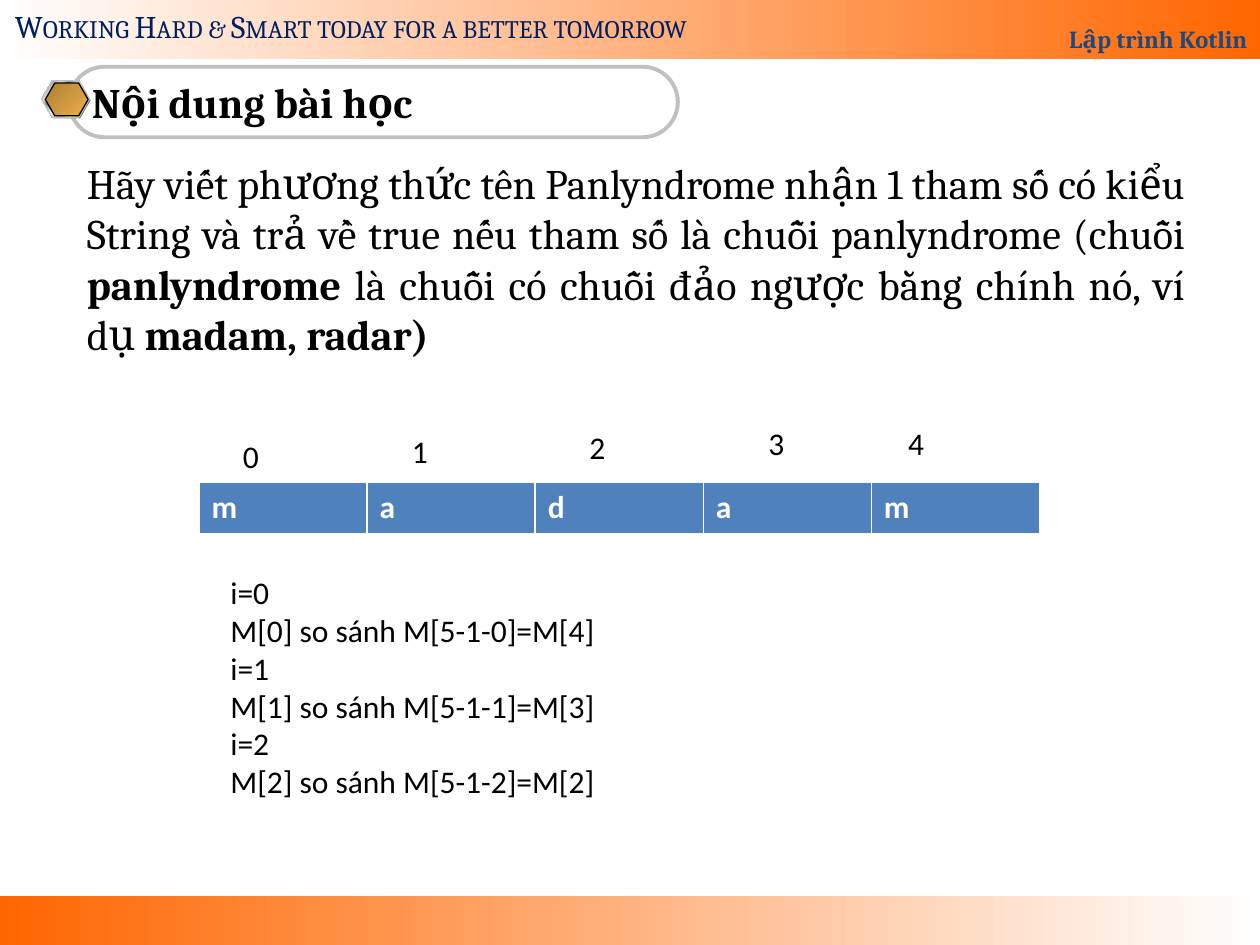
"""Build the palindrome exercise slide of a Kotlin programming lesson."""
from dataclasses import dataclass
from typing import Optional

from lxml import etree
from pptx import Presentation
from pptx import util as u
from pptx.dml.color import RGBColor
from pptx.enum import shapes, text
from pptx.oxml.ns import qn

COLORS = {
    "white": "FFFFFF", "black": "000000", "orange": "FF6600", "navy": "002060",
    "blue": "1F497D", "cell": "4F81BD", "silver": "C0C0C0", "gray": "808080",
    "light": "E6E6E6", "steel": "7D8496", "bronze": "AB7E34", "gold": "EFB049",
}
METAL = [(0, "light"), (7, "steel"), (26, "light"), (34, "steel"), (46, "light"),
         (50, "white"), (54, "light"), (66, "steel"), (74, "light"), (93, "steel"),
         (100, "light")]
WORD = "madam"


@dataclass
class Panel:
    """A preset shape with its outline and a solid or gradient fill."""
    kind: shapes.MSO_SHAPE
    box: tuple
    fill: Optional[str] = None
    stops: Optional[list] = None
    angle: int = 0
    line: Optional[str] = None
    width: float = 0.75
    adj: Optional[float] = None


@dataclass
class Label:
    """An index written above a table cell."""
    value: str
    left: float
    top: float


RECT, HEXAGON = shapes.MSO_SHAPE.RECTANGLE, shapes.MSO_SHAPE.HEXAGON
FOOTER = Panel(RECT, (0, 7.11, 10, 0.39), stops=[(0, "orange"), (100, "white")])
HEADER = Panel(RECT, (0, -0.06, 10, 0.53), stops=[(0, "white"), (100, "orange")])
TITLE = Panel(shapes.MSO_SHAPE.ROUNDED_RECTANGLE, (0.55, 0.53, 4.83, 0.56),
              line="silver", width=2.25, adj=0.5)
BULLET = [
    Panel(HEXAGON, (0.34, 0.65, 0.38, 0.29), fill="gray", adj=0.289),
    Panel(HEXAGON, (0.33, 0.64, 0.38, 0.29), stops=METAL, angle=45,
          line="silver", adj=0.289),
    Panel(HEXAGON, (0.36, 0.66, 0.34, 0.26), stops=[(0, "bronze"), (100, "gold")],
          angle=45, line="black", adj=0.289),
]
INDICES = [Label("0", 1.83, 3.42), Label("1", 3.17, 3.38), Label("2", 4.58, 3.35),
           Label("3", 6, 3.32), Label("4", 7.11, 3.32)]


def rgb(name: str) -> RGBColor:
    """Return a named colour."""
    return RGBColor.from_string(COLORS[name])


def set_gradient(sp, stops: list, angle: int) -> None:
    """Fill a shape with a linear gradient turned clockwise by angle."""
    sp.fill.gradient()
    grad = sp._element.spPr.find(qn("a:gradFill"))
    grad.find(qn("a:lin")).set("ang", str(angle * 60000))
    stop_list = grad.find(qn("a:gsLst"))
    for old in list(stop_list):
        stop_list.remove(old)
    for pos, name in stops:
        stop = etree.SubElement(stop_list, qn("a:gs"), pos=str(pos * 1000))
        etree.SubElement(stop, qn("a:srgbClr"), val=COLORS[name])


def draw_panel(s, panel: Panel):
    """Draw a panel and return its shape."""
    sp = s.shapes.add_shape(panel.kind, *map(u.Inches, panel.box))
    sp.shadow.inherit = False
    if panel.adj is not None:
        sp.adjustments[0] = panel.adj
    if panel.stops:
        set_gradient(sp, panel.stops, panel.angle)
    elif panel.fill:
        sp.fill.solid()
        sp.fill.fore_color.rgb = rgb(panel.fill)
    else:
        sp.fill.background()
    if panel.line:
        sp.line.color.rgb = rgb(panel.line)
        sp.line.width = u.Pt(panel.width)
    else:
        sp.line.fill.background()
    return sp


def write(tf, paragraphs: list, size: float = 18, font: str = "Calibri",
          color: str = "black", bold: bool = False, small_caps: bool = False,
          align=text.PP_ALIGN.LEFT, anchor=text.MSO_ANCHOR.TOP,
          wrap: bool = False, spacing: Optional[float] = None) -> None:
    """Write paragraphs, each a string or a list of (string, bold) runs."""
    tf.word_wrap = wrap
    tf.vertical_anchor = anchor
    for i, content in enumerate(paragraphs):
        p = tf.paragraphs[0] if i == 0 else tf.add_paragraph()
        p.alignment = align
        p.line_spacing = spacing
        runs = [(content, bold)] if isinstance(content, str) else content
        for words, heavy in runs:
            r = p.add_run()
            r.text = words
            r.font.size = u.Pt(size)
            r.font.name = font
            r.font.bold = heavy
            r.font.color.rgb = rgb(color)
            if small_caps:
                r.font._element.set("cap", "small")


def add_text(s, box: tuple, paragraphs: list, **style) -> None:
    """Add a text box that grows with its text."""
    tf = s.shapes.add_textbox(*map(u.Inches, box)).text_frame
    write(tf, paragraphs, **style)
    tf.auto_size = text.MSO_AUTO_SIZE.SHAPE_TO_FIT_TEXT


def add_letters(s, word: str) -> None:
    """Add a one-row table with a letter in each cell."""
    box = map(u.Inches, (1.58, 3.83, 6.67, 0.41))
    table = s.shapes.add_table(1, len(word), *box).table
    table.horz_banding = False
    for cell, letter in zip(table.rows[0].cells, word):
        cell.fill.solid()
        cell.fill.fore_color.rgb = rgb("cell")
        write(cell.text_frame, [letter], color="white", bold=True, wrap=True)


def main() -> None:
    """Build and save the slide."""
    prs = Presentation()
    prs.slide_width, prs.slide_height = u.Inches(10), u.Inches(7.5)
    s = prs.slides.add_slide(prs.slide_layouts[6])

    draw_panel(s, FOOTER)
    write(draw_panel(s, HEADER).text_frame, ["Lập trình Kotlin"], size=14,
          font="Cambria", color="blue", bold=True, align=text.PP_ALIGN.RIGHT,
          anchor=text.MSO_ANCHOR.BOTTOM, wrap=True, spacing=1.8)
    add_text(s, (0.02, 0.01, 5.9, 0.4),
             ["Working Hard & Smart today for a better tomorrow"],
             font="Cambria", color="navy", small_caps=True)
    write(draw_panel(s, TITLE).text_frame, ["Nội dung bài học"], size=24,
          font="Cambria", bold=True, anchor=text.MSO_ANCHOR.MIDDLE)
    for panel in BULLET:
        draw_panel(s, panel)

    add_text(s, (0.59, 1.2, 8.91, 1.72), [[
        ("Hãy viết phương thức tên Panlyndrome nhận 1 tham số có kiểu String và "
         "trả về true nếu tham số là chuỗi panlyndrome (chuỗi ", False),
        ("panlyndrome", True),
        (" là chuỗi có chuỗi đảo ngược bằng chính nó, ví dụ ", False),
        ("madam, radar)", True),
    ]], size=24, font="Cambria", align=text.PP_ALIGN.JUSTIFY, wrap=True)

    add_letters(s, WORD)
    for label in INDICES:
        add_text(s, (label.left, label.top, 0.33, 0.4), [label.value])

    n = len(WORD)
    steps = [line for i in range(n // 2 + 1)
             for line in (f"i={i}", f"M[{i}] so sánh M[{n}-1-{i}]=M[{n - 1 - i}]")]
    add_text(s, (1.73, 4.5, 3.12, 1.92), steps)
    prs.save("out.pptx")


if __name__ == "__main__":
    main()
